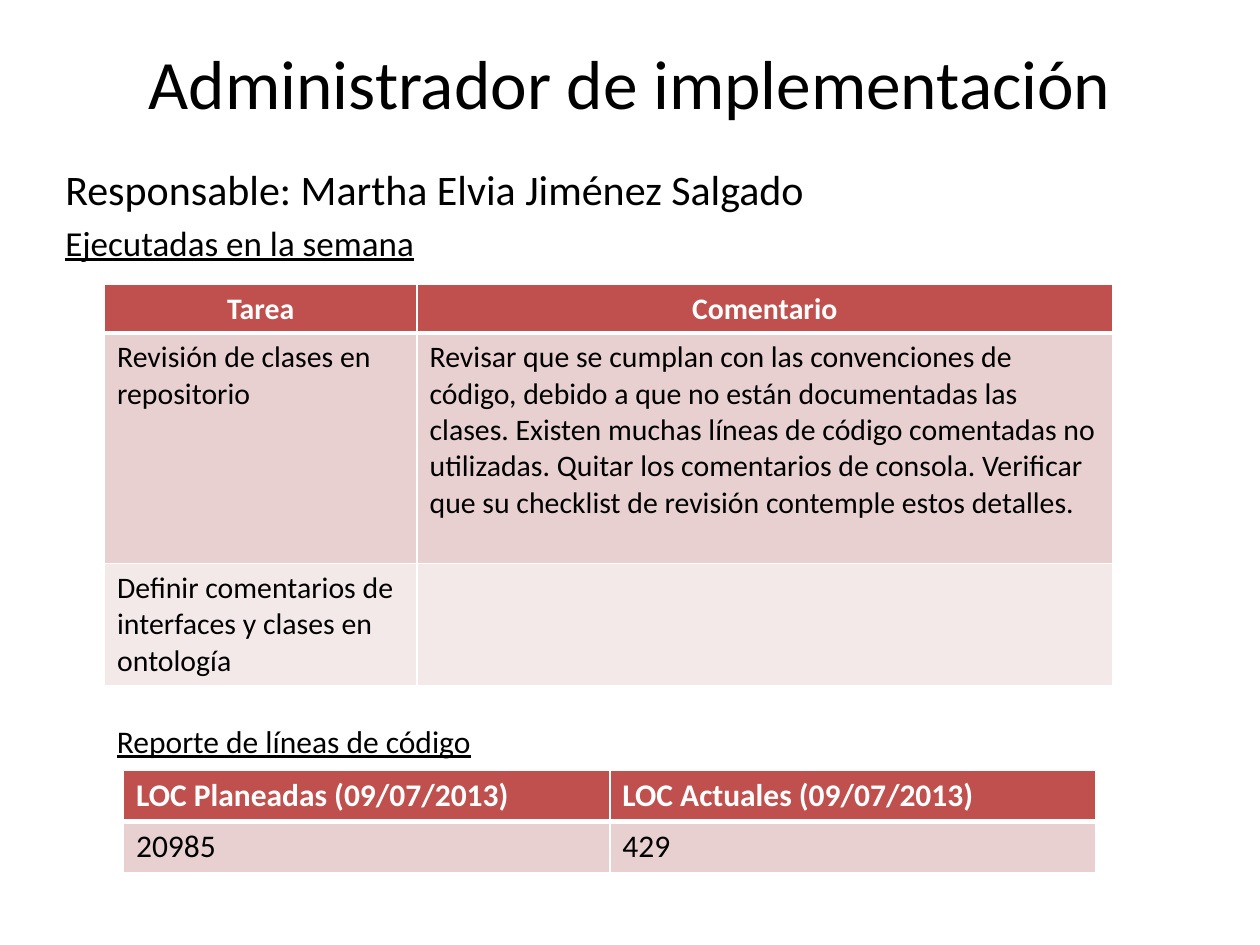
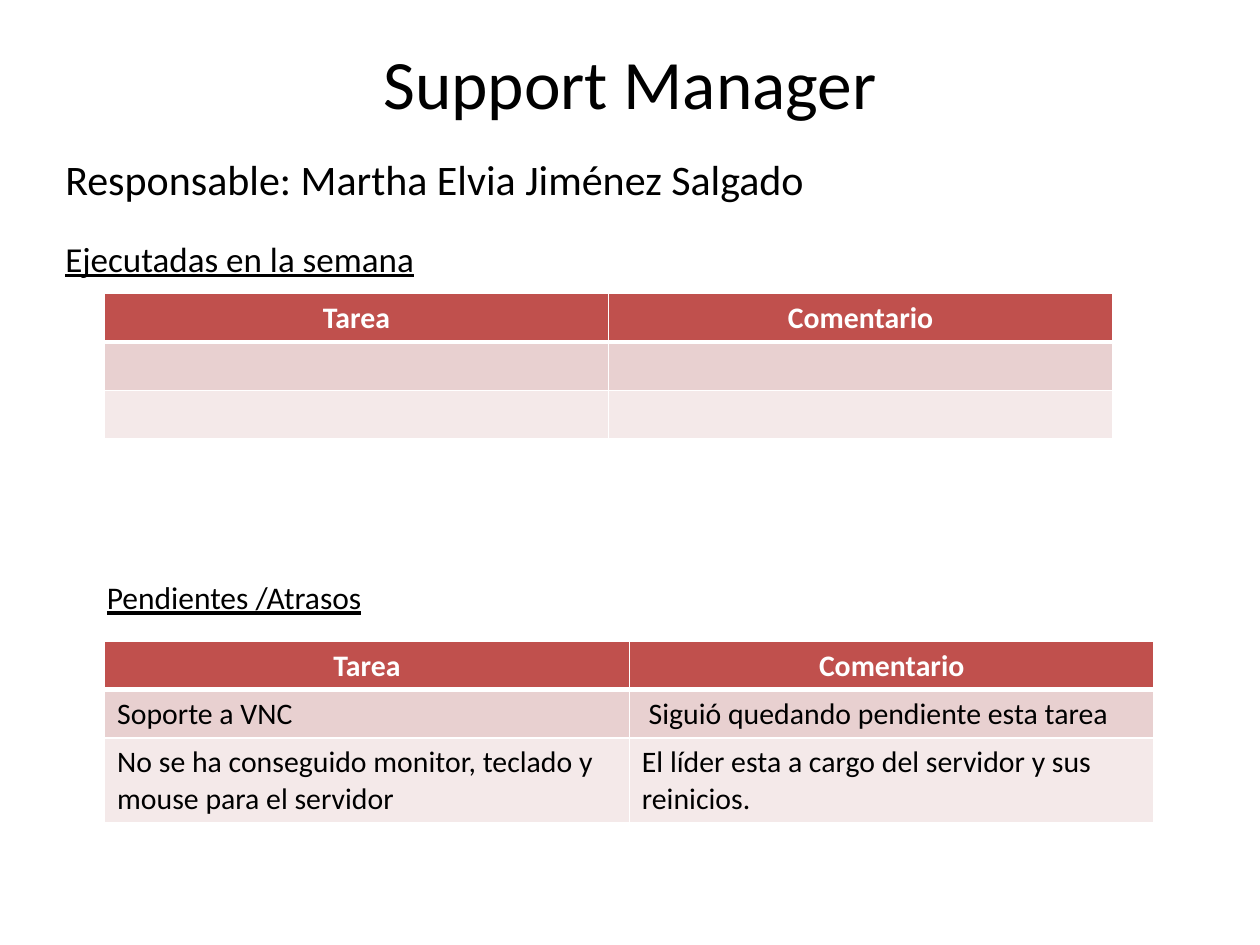
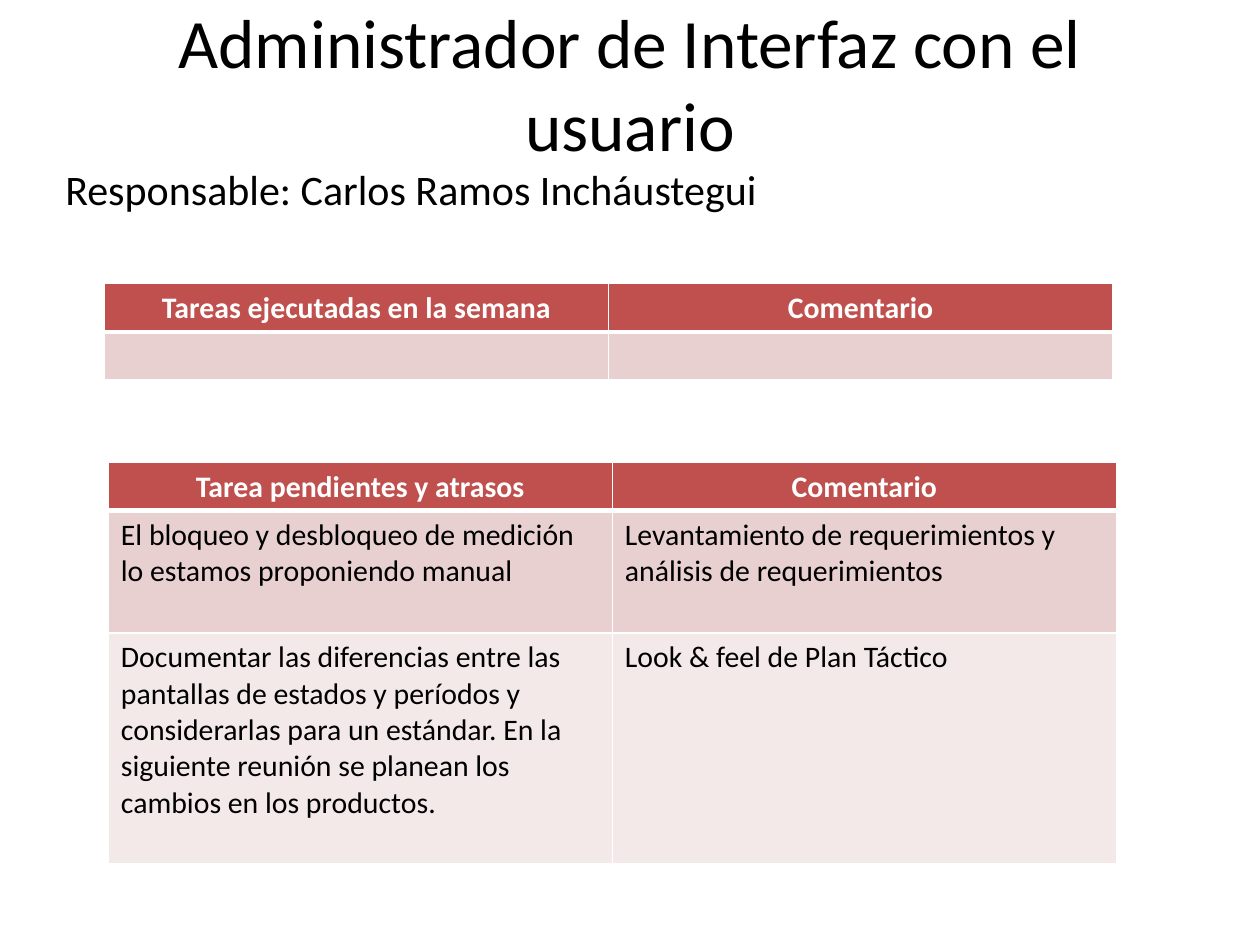
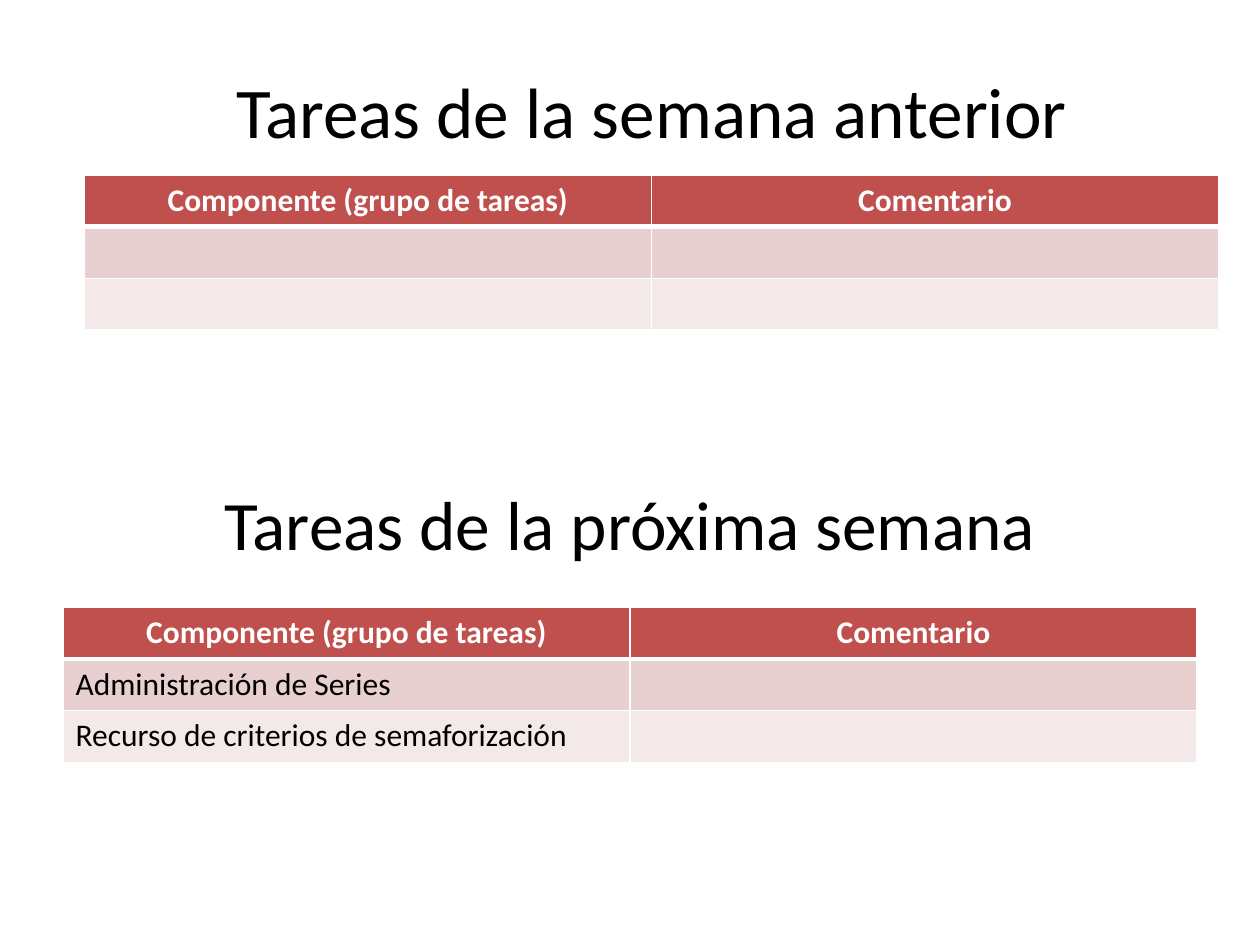
"""Build the four slides of a weekly report on team roles and tasks."""
from dataclasses import dataclass

from lxml import etree
from pptx import Presentation
from pptx import util as u
from pptx.dml.color import RGBColor
from pptx.enum import text
from pptx.oxml import ns

FONT = "Calibri"
BLACK = RGBColor(0x00, 0x00, 0x00)
WHITE = RGBColor(0xFF, 0xFF, 0xFF)
RED = RGBColor(0xC0, 0x50, 0x4D)
BANDS = (RGBColor(0xE8, 0xD0, 0xD0), RGBColor(0xF4, 0xE9, 0xE9))
CENTER = text.PP_ALIGN.CENTER
LEFT = text.PP_ALIGN.LEFT
TASK = ("Tarea", "Comentario")
GROUP = ("Componente (grupo de tareas)", "Comentario")
BLANK = ("", "")
WEEK = "Ejecutadas en la semana"
MARTHA = "Responsable: Martha Elvia Jiménez Salgado"


@dataclass
class Line:
    """One line of text with its size, underline and space before."""
    words: str
    size: float
    under: bool = False
    gap: float = 0


@dataclass
class Box:
    """A text box holding lines."""
    left: float
    top: float
    width: float
    height: float
    lines: list[Line]
    wrap: bool = True
    align: int = LEFT
    anchor: int = text.MSO_ANCHOR.TOP


@dataclass
class Grid:
    """A two-column table with a header row and banded rows."""
    left: float
    top: float
    width: float
    highs: list[float]
    rows: list[tuple[str, str]]
    size: float = 17
    share: float = 0.5
    align: int = CENTER


@dataclass
class Page:
    """A slide with its title, text boxes and tables."""
    title: str
    blocks: list[Box | Grid]
    top: float = 0.3
    height: float = 0.7


def style(para, size: float, color: RGBColor = BLACK, bold: bool = False,
          under: bool = False) -> None:
    """Format every run of a paragraph."""
    for run in para.runs:
        font = run.font
        font.name, font.size = FONT, u.Pt(size)
        font.bold, font.underline = bold, under
        font.color.rgb = color


def border(cell, side: str, width: float) -> None:
    """Add a white line to one side of a cell."""
    line = etree.SubElement(cell._tc.get_or_add_tcPr(), ns.qn(f"a:ln{side}"),
                            w=str(u.Pt(width)))
    fill = etree.SubElement(line, ns.qn("a:solidFill"))
    etree.SubElement(fill, ns.qn("a:srgbClr"), val=str(WHITE))


def draw_cell(cell, words: str, row: int, grid: Grid) -> None:
    """Fill one table cell, with heavy lines under the header."""
    head = row == 0
    widths = {"L": 1, "R": 1, "T": 3 if row == 1 else 1, "B": 3 if head else 1}
    for side, width in widths.items():
        border(cell, side, width)
    cell.fill.solid()
    cell.fill.fore_color.rgb = RED if head else BANDS[(row - 1) % 2]
    para = cell.text_frame.paragraphs[0]
    if words:
        para.text = words
        para.alignment = grid.align if head else LEFT
        style(para, grid.size, WHITE if head else BLACK, bold=head)
    else:
        etree.SubElement(para._p, ns.qn("a:endParaRPr"),
                         sz=str(round(grid.size * 100)))


def draw_grid(slide, grid: Grid) -> None:
    """Draw a table."""
    frame = slide.shapes.add_table(
        len(grid.rows), 2, u.Inches(grid.left), u.Inches(grid.top),
        u.Inches(grid.width), u.Inches(sum(grid.highs)))
    table = frame.table
    table.horz_banding = False
    for col, share in zip(table.columns, (grid.share, 1 - grid.share)):
        col.width = u.Inches(grid.width * share)
    for row, (high, pair) in enumerate(zip(grid.highs, grid.rows)):
        table.rows[row].height = u.Inches(high)
        for col, words in enumerate(pair):
            draw_cell(table.cell(row, col), words, row, grid)


def draw_box(slide, box: Box) -> None:
    """Draw a text box."""
    shape = slide.shapes.add_textbox(
        u.Inches(box.left), u.Inches(box.top),
        u.Inches(box.width), u.Inches(box.height))
    frame = shape.text_frame
    frame.word_wrap = box.wrap
    frame.vertical_anchor = box.anchor
    frame.text = "\n".join(line.words for line in box.lines)
    for para, line in zip(frame.paragraphs, box.lines):
        para.alignment = box.align
        para.space_before = u.Pt(line.gap)
        style(para, line.size, under=line.under)


def draw_page(deck, page: Page) -> None:
    """Add a slide and draw its title and blocks."""
    slide = deck.slides.add_slide(deck.slide_layouts[5])
    title = slide.shapes.title
    title.left, title.top = u.Inches(0.5), u.Inches(page.top)
    title.width, title.height = u.Inches(9), u.Inches(page.height)
    frame = title.text_frame
    frame.text = page.title
    frame.auto_size = text.MSO_AUTO_SIZE.NONE
    frame.vertical_anchor = text.MSO_ANCHOR.MIDDLE
    frame.paragraphs[0].alignment = CENTER
    style(frame.paragraphs[0], 39.6)
    for block in page.blocks:
        draw = draw_grid if isinstance(block, Grid) else draw_box
        draw(slide, block)


def intro(top: float, height: float, lead: str, *more: Line) -> Box:
    """Return the box that names who is in charge."""
    return Box(0.42, top, 9.33, height, [Line(lead, 24, gap=4.8), *more])


def label(left: float, top: float, width: float, words: str) -> Box:
    """Return an underlined label above a table."""
    return Box(left, top, width, 0.4, [Line(words, 18, True)], wrap=False)


PAGES = [
    Page("Administrador de implementación", [
        intro(1.25, 0.92, MARTHA, Line(WEEK, 20, True, 4)),
        Grid(0.83, 2.26, 8, [0.38, 1.83, 0.97], [
            TASK,
            ("Revisión de clases en repositorio",
             "Revisar que se cumplan con las convenciones de código, debido a "
             "que no están documentadas las clases. Existen muchas líneas de "
             "código comentadas no utilizadas. Quitar los comentarios de "
             "consola. Verificar que su checklist de revisión contemple estos "
             "detalles."),
            ("Definir comentarios de interfaces y clases en ontología", ""),
        ], share=0.31),
        Grid(0.98, 6.11, 7.72, [0.41] * 2, [
            ("LOC Planeadas (09/07/2013)", "LOC Actuales (09/07/2013)"),
            ("20985", "429"),
        ], size=18, align=LEFT),
        label(0.83, 5.68, 3.05, "Reporte de líneas de código"),
    ]),
    Page("Support Manager", [
        intro(1.17, 1.25, MARTHA, Line(WEEK, 20, True, 19)),
        Grid(0.83, 2.33, 8, [0.38] * 3, [TASK, BLANK, BLANK]),
        Grid(0.83, 5.09, 8.33, [0.38, 0.38, 0.67], [
            TASK,
            ("Soporte a VNC", " Siguió quedando pendiente esta tarea"),
            ("No se ha conseguido monitor, teclado y mouse para el servidor",
             "El líder esta a cargo del servidor y sus reinicios."),
        ]),
        label(0.75, 4.54, 2.24, "Pendientes /Atrasos"),
    ]),
    Page("Administrador de Interfaz con el usuario", [
        intro(1.25, 0.53, "Responsable: Carlos Ramos Incháustegui"),
        Grid(0.83, 2.25, 8, [0.38] * 2, [
            ("Tareas ejecutadas en la semana", "Comentario"), BLANK]),
        Grid(0.86, 3.67, 8, [0.38, 0.97, 1.83], [
            ("Tarea pendientes y atrasos", "Comentario"),
            ("El bloqueo y desbloqueo de medición lo estamos proponiendo "
             "manual",
             "Levantamiento de requerimientos y análisis de requerimientos"),
            ("Documentar las diferencias entre las pantallas de estados y "
             "períodos y considerarlas para un estándar. En la siguiente "
             "reunión se planean los cambios en los productos.",
             "Look & feel de Plan Táctico"),
        ]),
    ]),
    Page("Tareas de la próxima semana", [
        Grid(0.5, 4.82, 9, [0.41] * 3, [
            GROUP,
            ("Administración de Series", ""),
            ("Recurso de criterios de semaforización", ""),
        ], size=18),
        Box(0.67, 0.52, 9, 0.71, [Line("Tareas de la semana anterior", 40.7)],
            align=CENTER, anchor=text.MSO_ANCHOR.MIDDLE),
        Grid(0.67, 1.39, 9, [0.41] * 3, [GROUP, BLANK, BLANK], size=18),
    ], top=3.76, height=0.78),
]


def main() -> None:
    """Build and save the deck."""
    deck = Presentation()
    deck.slide_width, deck.slide_height = u.Inches(10), u.Inches(7.5)
    for page in PAGES:
        draw_page(deck, page)
    deck.save("out.pptx")


if __name__ == "__main__":
    main()
